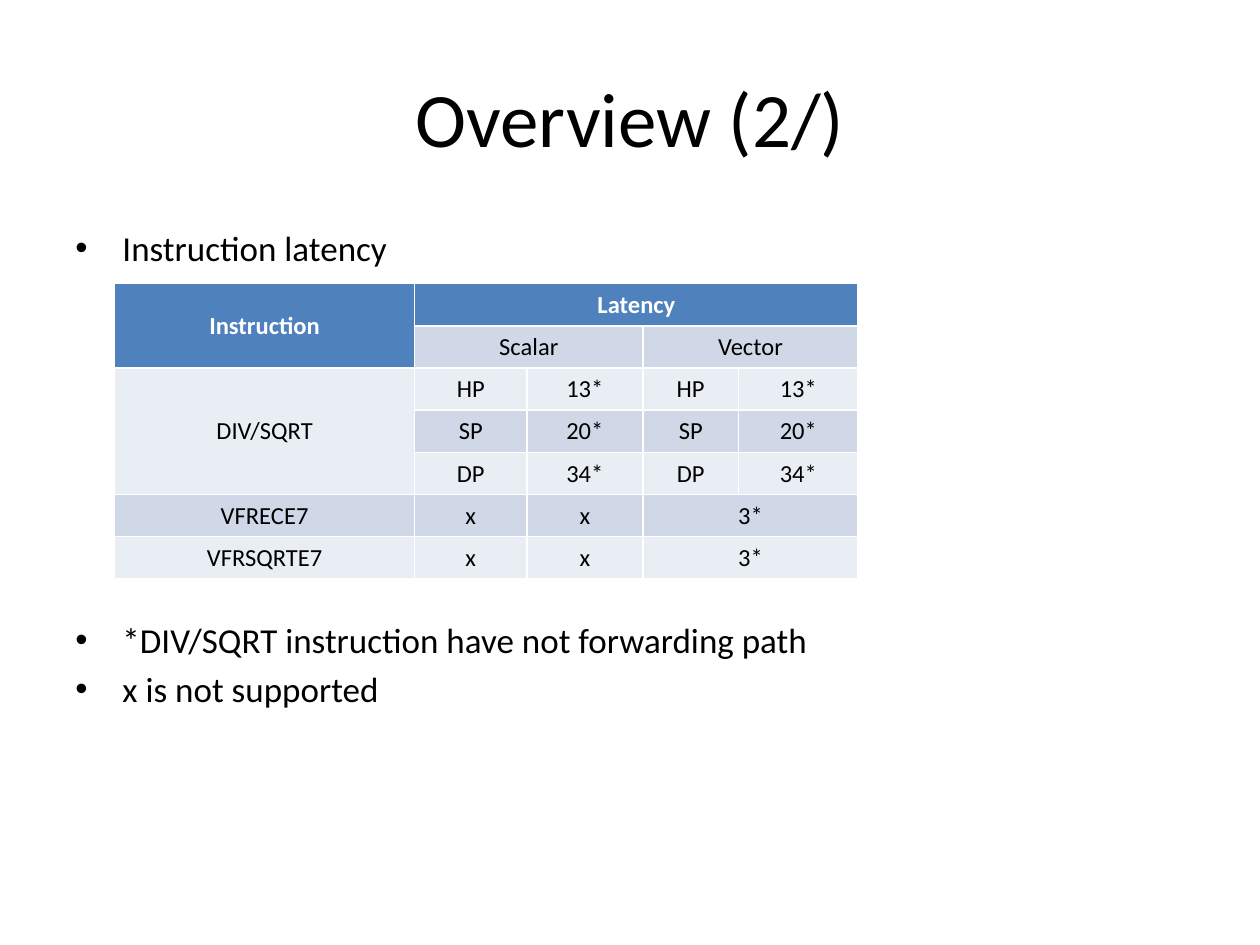
from dataclasses import dataclass

from lxml.etree import SubElement
from pptx import Presentation
from pptx.dml.color import RGBColor
from pptx.enum.text import MSO_ANCHOR, PP_ALIGN
from pptx.oxml.ns import qn
from pptx.util import Cm, Pt


@dataclass(frozen=True)
class Theme:
    font: str = "Calibri"
    title_size: int = 44
    body_size: int = 20
    table_size: int = 14
    text: str = "000000"
    header_text: str = "FFFFFF"
    header: str = "4F81BD"
    dark_band: str = "D0D8E8"
    light_band: str = "E9EDF4"


@dataclass(frozen=True)
class Bullet:
    text: str
    space_before: int = 4


@dataclass(frozen=True)
class Entry:
    row: int
    column: int
    text: str
    row_span: int = 1
    column_span: int = 1


THEME = Theme()
TABLE_GAP = 200  # points left free for the table between two bullets

BULLETS = [
    Bullet("Instruction latency"),
    Bullet("*DIV/SQRT instruction have not forwarding path", TABLE_GAP),
    Bullet("x is not supported"),
]

COLUMN_WIDTHS = [6.05, 2.26, 2.34, 1.93, 2.41]
ROW_HEIGHT = 0.85
ROW_COUNT = 7
PRECISIONS = [("HP", "13*"), ("SP", "20*"), ("DP", "34*")]
ESTIMATES = ["VFRECE7", "VFRSQRTE7"]


def latency_entries() -> list[Entry]:
    entries = [
        Entry(0, 0, "Instruction", row_span=2),
        Entry(0, 1, "Latency", column_span=4),
        Entry(1, 1, "Scalar", column_span=2),
        Entry(1, 3, "Vector", column_span=2),
        Entry(2, 0, "DIV/SQRT", row_span=3),
    ]
    # Scalar and vector units share the same latencies
    for row, pair in enumerate(PRECISIONS, start=2):
        entries += [Entry(row, column, text) for column, text in enumerate(pair * 2, start=1)]
    for row, name in enumerate(ESTIMATES, start=5):
        entries += [Entry(row, 0, name), Entry(row, 1, "x"), Entry(row, 2, "x"),
                    Entry(row, 3, "3*", column_span=2)]
    return entries


def format_runs(paragraph, size: int, color: str, bold: bool = False) -> None:
    for span in paragraph.runs:
        span.font.name = THEME.font
        span.font.size = Pt(size)
        span.font.bold = bold
        span.font.color.rgb = RGBColor.from_string(color)


def add_title(page, text: str) -> None:
    title = page.shapes.title
    title.left, title.top, title.width, title.height = Cm(1.27), Cm(0.76), Cm(22.86), Cm(3.18)
    title.text_frame.text = text
    title.text_frame.vertical_anchor = MSO_ANCHOR.MIDDLE
    para = title.text_frame.paragraphs[0]
    para.alignment = PP_ALIGN.CENTER
    format_runs(para, THEME.title_size, THEME.text)


def add_bullets(page, bullets: list[Bullet]) -> None:
    box = page.shapes.add_textbox(Cm(1.27), Cm(4.45), Cm(22.86), Cm(12.57))
    frame = box.text_frame
    frame.word_wrap = True
    frame.text = "\n".join(bullet.text for bullet in bullets)
    for para, bullet in zip(frame.paragraphs, bullets):
        para.space_before = Pt(bullet.space_before)
        format_runs(para, THEME.body_size, THEME.text)
        # Hanging indent and bullet sign
        properties = para._p.get_or_add_pPr()
        properties.set("marL", str(Cm(0.95)))
        properties.set("indent", str(-Cm(0.95)))
        SubElement(properties, qn("a:buFont")).set("typeface", "Arial")
        SubElement(properties, qn("a:buChar")).set("char", "•")


def add_latency_table(page, entries: list[Entry]) -> None:
    frame = page.shapes.add_table(ROW_COUNT, len(COLUMN_WIDTHS), Cm(2.31), Cm(5.72),
                                  Cm(sum(COLUMN_WIDTHS)), Cm(ROW_HEIGHT * ROW_COUNT))
    table = frame.table
    for column, width in zip(table.columns, COLUMN_WIDTHS):
        column.width = Cm(width)

    # White cell borders come from the default table style
    for entry in entries:
        cell = table.cell(entry.row, entry.column)
        if entry.row_span * entry.column_span > 1:
            cell.merge(table.cell(entry.row + entry.row_span - 1,
                                  entry.column + entry.column_span - 1))
        is_header = entry.row == 0
        band = THEME.dark_band if entry.row % 2 else THEME.light_band
        cell.fill.solid()
        cell.fill.fore_color.rgb = RGBColor.from_string(THEME.header if is_header else band)
        cell.vertical_anchor = MSO_ANCHOR.MIDDLE
        cell.text_frame.text = entry.text
        para = cell.text_frame.paragraphs[0]
        para.alignment = PP_ALIGN.CENTER
        color = THEME.header_text if is_header else THEME.text
        format_runs(para, THEME.table_size, color, bold=is_header)


def main() -> None:
    deck = Presentation()
    deck.slide_width, deck.slide_height = Cm(25.4), Cm(19.05)
    page = deck.slides.add_slide(deck.slide_layouts[5])  # title only
    add_title(page, "Overview (2/)")
    add_bullets(page, BULLETS)
    add_latency_table(page, latency_entries())
    deck.save("out.pptx")


if __name__ == "__main__":
    main()
